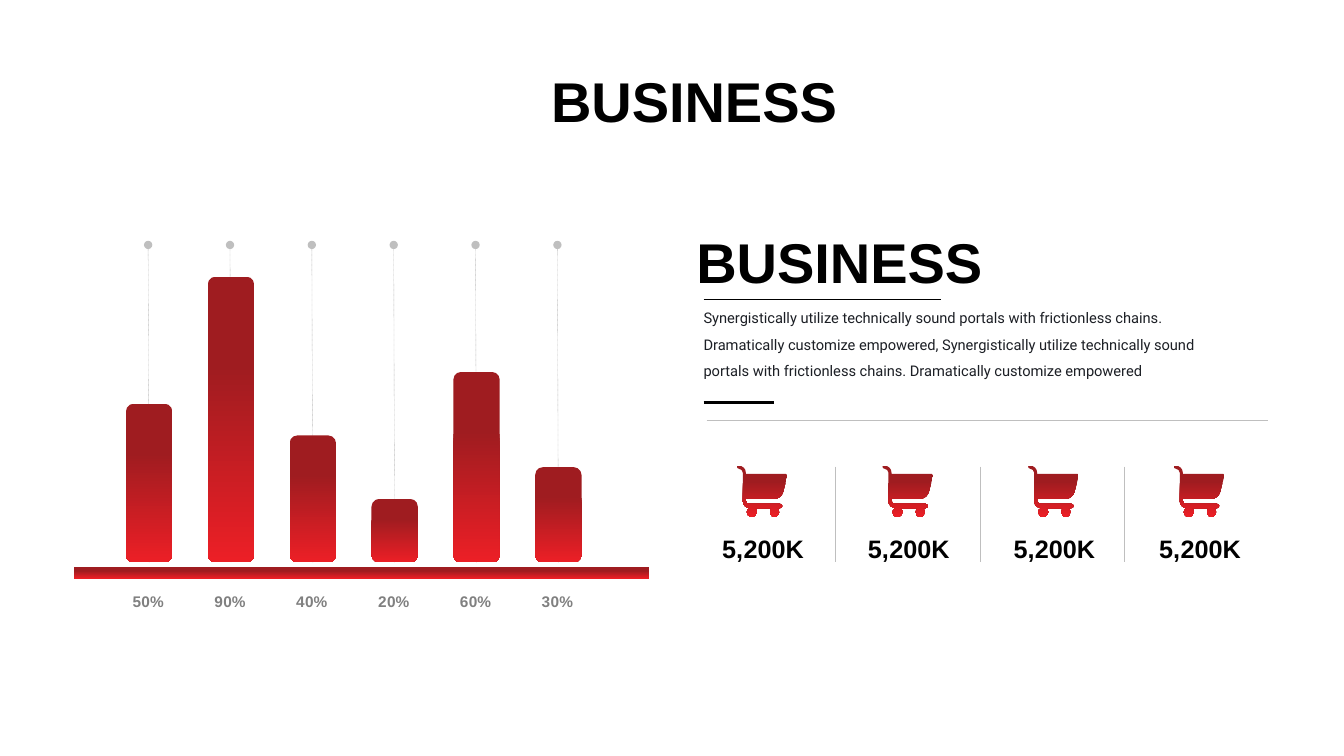
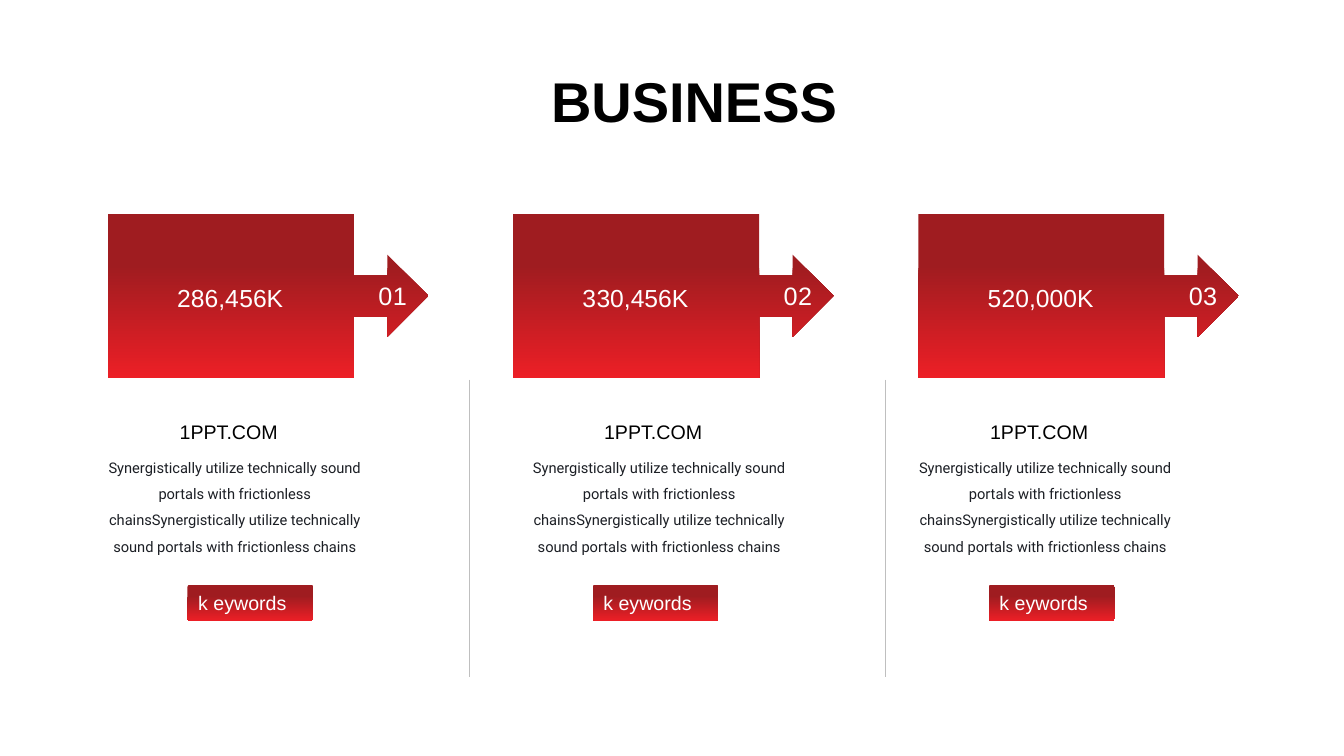
from dataclasses import dataclass

from lxml import etree
from pptx import Presentation
from pptx.dml.color import RGBColor
from pptx.enum import dml, shapes, text
from pptx.oxml.ns import qn
from pptx.util import Inches, Pt

SHAPE = shapes.MSO_SHAPE
ALIGN = text.PP_ALIGN
ANCHOR = text.MSO_ANCHOR


@dataclass(frozen=True)
class Theme:
    deep: str = "9F1C20"
    bright: str = "EC1F26"
    ink: str = "000000"
    body: str = "1C1F25"
    grey: str = "808080"
    rule: str = "BFBFBF"
    white: str = "FFFFFF"
    head: str = "Arial"
    plain: str = "Roboto"
    title_pt: float = 40
    value_pt: float = 18
    sum_pt: float = 17.6
    label_pt: float = 14
    axis_pt: float = 11
    body_pt: float = 10.5
    thin_pt: float = 1
    hair_pt: float = 0.25


T = Theme()
TITLE = "BUSINESS"
SHARES = [50, 90, 40, 20, 60, 30]
PITCH = "Synergistically utilize technically sound portals with frictionless chains"
INTRO = (PITCH + ". Dramatically customize empowered, " + PITCH
         + ". Dramatically customize empowered")

# Cart outline in inches: a pair is a corner, a triple of pairs is a Bezier curve.
CART = [
    (0.06, 0.35),
    ((0.06, 0.39), (0.09, 0.42), (0.13, 0.42)),
    ((0.11, 0.43), (0.1, 0.44), (0.1, 0.46)),
    ((0.1, 0.49), (0.12, 0.51), (0.15, 0.51)),
    ((0.17, 0.51), (0.2, 0.49), (0.2, 0.46)),
    ((0.2, 0.44), (0.19, 0.43), (0.17, 0.42)),
    (0.35, 0.42),
    ((0.34, 0.43), (0.33, 0.44), (0.33, 0.46)),
    ((0.33, 0.49), (0.35, 0.51), (0.37, 0.51)),
    ((0.4, 0.51), (0.42, 0.49), (0.42, 0.46)),
    ((0.42, 0.44), (0.41, 0.43), (0.39, 0.42)),
    (0.43, 0.42),
    ((0.44, 0.42), (0.45, 0.41), (0.45, 0.4)),
    ((0.45, 0.39), (0.44, 0.38), (0.43, 0.38)),
    (0.13, 0.38),
    ((0.11, 0.38), (0.09, 0.37), (0.09, 0.35)),
    (0.09, 0.32),
    ((0.1, 0.32), (0.11, 0.33), (0.13, 0.33)),
    (0.37, 0.33),
    ((0.41, 0.33), (0.45, 0.3), (0.46, 0.26)),
    (0.5, 0.11),
    ((0.5, 0.1), (0.5, 0.1), (0.5, 0.09)),
    ((0.5, 0.09), (0.49, 0.08), (0.49, 0.08)),
    (0.09, 0.08),
    (0.09, 0.07),
    ((0.09, 0.03), (0.06, 0), (0.02, 0)),
    ((0.01, 0), (0, 0), (0, 0.01)),
    ((0, 0.02), (0.01, 0.03), (0.02, 0.03)),
    ((0.04, 0.03), (0.06, 0.05), (0.06, 0.07)),
]


def tint(code):
    return RGBColor.from_string(code)


def glow(shape):
    """Give a shape the red vertical gradient, without line or shadow."""
    shape.shadow.inherit = False
    shape.line.fill.background()
    shape.fill.gradient()
    shape.fill.gradient_angle = 270
    stops = zip(shape.fill.gradient_stops, ((0.31, T.deep), (1, T.bright)))
    for stop, (place, code) in stops:
        stop.position = place
        stop.color.rgb = tint(code)


def block(slide, kind, x, y, w, h, adjust=()):
    shape = slide.shapes.add_shape(kind, Inches(x), Inches(y), Inches(w), Inches(h))
    for i, value in enumerate(adjust):
        shape.adjustments[i] = value
    glow(shape)
    return shape


def write(shape, *words, size, color, font=T.head, bold=False, align=ALIGN.LEFT,
          anchor=ANCHOR.TOP, space=None, wrap=True, inset=True):
    """Write the words, with a thin space between one and the next."""
    frame = shape.text_frame
    frame.word_wrap = wrap
    frame.vertical_anchor = anchor
    if not inset:
        frame.margin_left = frame.margin_right = 0
        frame.margin_top = frame.margin_bottom = 0
    para = frame.paragraphs[0]
    para.alignment = align
    if space:
        para.line_spacing = space
    parts = [(words[0], size)]
    for word in words[1:]:
        parts += [(" ", T.thin_pt), (word, size)]
    for word, points in parts:
        run = para.add_run()
        run.text = word
        run.font.name = font
        run.font.size = Pt(points)
        run.font.bold = bold
        run.font.color.rgb = tint(color)


def label(slide, box, *words, **style):
    write(slide.shapes.add_textbox(*map(Inches, box)), *words, **style)


def prose(slide, box, words, align=ALIGN.LEFT):
    label(slide, box, words, size=T.body_pt, color=T.body, font=T.plain,
          align=align, space=1.5, inset=False)


def rule(slide, start, end, color=T.rule, width=T.hair_pt, pin=False):
    """Draw a line; a pin is dotted and ends in a round dot."""
    line = slide.shapes.add_connector(
        shapes.MSO_CONNECTOR.STRAIGHT, *map(Inches, (*start, *end)))
    line.line.color.rgb = tint(color)
    line.line.width = Pt(width)
    props = line._element.spPr
    if pin:
        line.line.dash_style = dml.MSO_LINE.ROUND_DOT
        etree.SubElement(props.find(qn("a:ln")), qn("a:tailEnd"), type="oval")
    etree.SubElement(props, qn("a:effectLst"))


def cart(slide, x, y):
    """Draw the outline through its end points, then bend the curved steps."""
    ends = [step[-1] if isinstance(step[0], tuple) else step for step in CART]
    spots = [(Inches(x + dx), Inches(y + dy)) for dx, dy in ends]
    pen = slide.shapes.build_freeform(*spots[0])
    pen.add_line_segments(spots[1:], close=True)
    shape = pen.convert_to_shape()
    edges = list(shape._element.spPr.iter(qn("a:lnTo")))
    for edge, step in zip(edges, CART[1:]):
        if isinstance(step[0], tuple):
            bend = etree.Element(qn("a:cubicBezTo"))
            for dx, dy in step:
                etree.SubElement(bend, qn("a:pt"), x=str(Inches(dx)), y=str(Inches(dy)))
            edge.getparent().replace(edge, bend)
    glow(shape)


def start(deck):
    """Add a blank slide with the shared title."""
    slide = deck.slides.add_slide(deck.slide_layouts[6])
    label(slide, (5.09, 0.61, 3.59, 0.77), TITLE, size=T.title_pt, color=T.ink,
          bold=True, align=ALIGN.CENTER)
    return slide


def bars(slide, x, y, w, h):
    """Draw the bars in a box whose height stands for 100 percent."""
    foot = y + h
    block(slide, SHAPE.RECTANGLE, x, foot + 0.05, w, 0.11)
    for i, share in enumerate(SHARES):
        left = x + 0.52 + i * 0.812
        tall = h * share / 100
        rule(slide, (left + 0.23, foot), (left + 0.22, y), pin=True)
        block(slide, SHAPE.ROUNDED_RECTANGLE, left, foot - tall, 0.46, tall)
        tens, ones = divmod(share, 10)
        label(slide, (left - 0.05, foot + 0.21, 0.54, 0.31), f"{tens}", f"{ones}%",
              size=T.axis_pt, color=T.grey, bold=True, align=ALIGN.CENTER,
              space=1.2, wrap=False)


def story(slide, x, y):
    label(slide, (x - 0.17, y, 3.15, 0.77), TITLE, size=T.title_pt, color=T.ink,
          bold=True)
    rule(slide, (x, y + 0.76), (x + 2.36, y + 0.76), T.ink, 0.5)
    prose(slide, (x, y + 0.77, 4.98, 0.69), INTRO)
    rule(slide, (x, y + 1.78), (x + 0.7, y + 1.78), T.ink, 2.25)
    rule(slide, (x + 0.03, y + 1.96), (x + 5.6, y + 1.96))


def stats(slide, x, y, count=4):
    for i in range(count):
        left = x + i * 1.445
        cart(slide, left + 0.42, y)
        label(slide, (left, y + 0.64, 1.36, 0.37), "5,", "200K", size=T.value_pt,
              color=T.ink, bold=True, align=ALIGN.CENTER, anchor=ANCHOR.MIDDLE,
              wrap=False)
        if i:
            edge = x - 0.04 + i * 1.435
            rule(slide, (edge, y + 0.01), (edge, y + 0.96))


def arrow(slide, x, y, number, total):
    block(slide, SHAPE.RIGHT_ARROW_CALLOUT, x, y, 3.18, 1.63,
          (0.25, 0.25, 0.25, 2.44 / 3.18))
    label(slide, (x + 2.63, y + 0.62, 0.39, 0.39), "0", number, size=T.value_pt,
          color=T.white, align=ALIGN.CENTER, anchor=ANCHOR.MIDDLE, wrap=False,
          inset=False)
    label(slide, (x + 0.59, y + 0.64, 1.3, 0.36), *total, size=T.sum_pt,
          color=T.white, wrap=False)


def blurb(slide, x, y, w):
    head = block(slide, SHAPE.ROUNDED_RECTANGLE, x + 0.47, y, 1.68, 0.52, (0.5,))
    head.fill.background()
    write(head, "1PPT.COM", size=T.label_pt, color=T.ink, align=ALIGN.CENTER,
          anchor=ANCHOR.MIDDLE)
    prose(slide, (x, y + 0.44, w, 0.92), PITCH + PITCH, ALIGN.CENTER)


def tag(slide, x, y):
    shape = block(slide, SHAPE.ROUNDED_RECTANGLE, x, y, 1.25, 0.36, (0.07,))
    write(shape, "k eywords", size=T.label_pt, color=T.white, anchor=ANCHOR.MIDDLE)


def growth(deck):
    slide = start(deck)
    bars(slide, 0.73, 2.43, 5.71, 3.15)
    story(slide, 6.98, 2.21)
    stats(slide, 6.89, 4.62)


def stages(deck):
    slide = start(deck)
    columns = [(("286,4", "56K"), 0.96, 1.86), (("3", "30,456K"), 5.17, 5.88),
               (("5", "20,000K"), 9, 9.81)]
    for i, (total, copy_x, tag_x) in enumerate(columns):
        arrow(slide, 1.07 + i * 4.02, 2.12, f"{i + 1}", total)
        blurb(slide, copy_x, 4.02, 2.74)
        tag(slide, tag_x, 5.8)
    for edge in (4.65, 8.78):
        rule(slide, (edge, 3.77), (edge, 6.72))


def main():
    deck = Presentation()
    deck.slide_width, deck.slide_height = Inches(40 / 3), Inches(7.5)
    growth(deck)
    stages(deck)
    deck.save("out.pptx")


if __name__ == "__main__":
    main()
